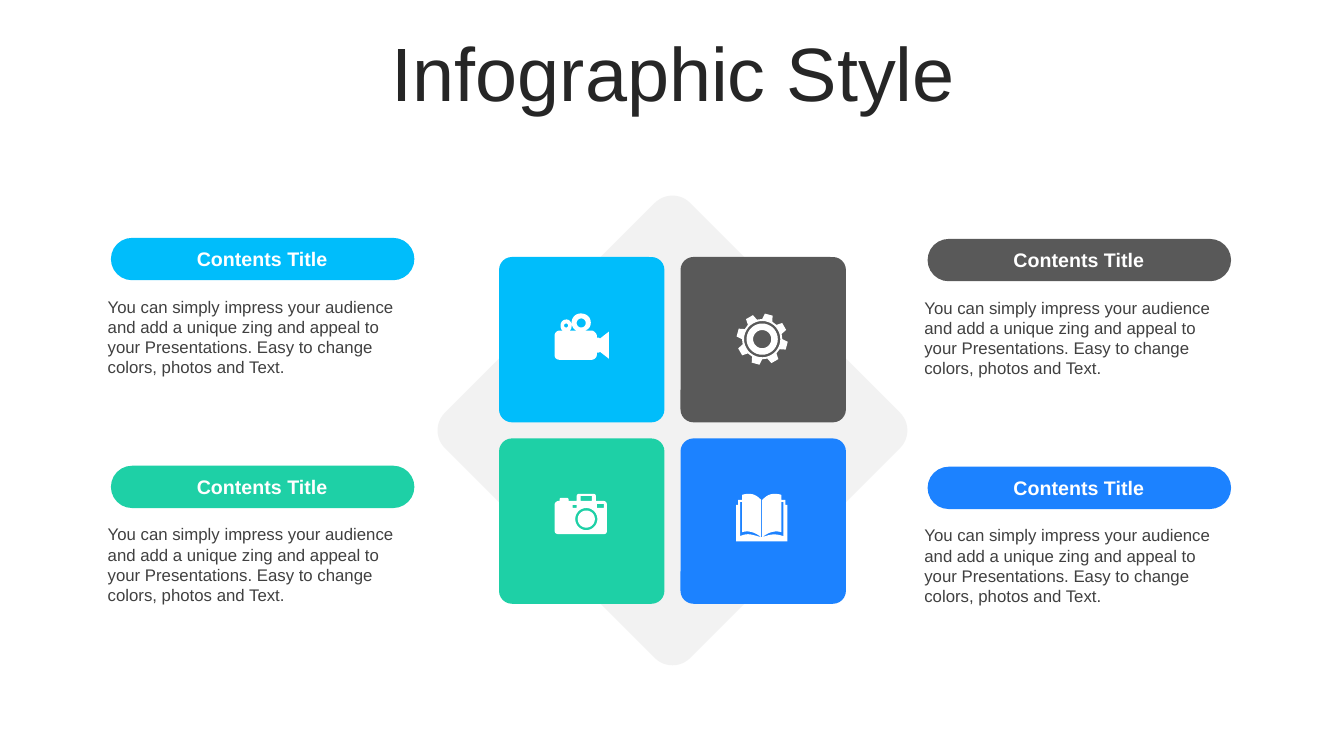
from math import cos, radians, sin

from pptx import Presentation
from pptx.dml.color import RGBColor
from pptx.enum import shapes, text
from pptx.util import Inches, Pt

COLORS = {
    "sky": "00BDFB", "gray": "595959", "mint": "1ED0A6", "blue": "1C82FF",
    "diamond": "F2F2F2", "white": "FFFFFF", "title": "262626", "body": "404040",
}
HEADING = "Contents Title"
DESCRIPTION = ("You can simply impress your audience and add a unique zing and appeal to "
               "your Presentations. Easy to change colors, photos and Text.")
TITLE_FONT = {"name": "Arial", "size": Pt(54), "bold": False}
HEADING_FONT = {"name": "Arial", "size": Pt(14), "bold": True}
BODY_FONT = {"name": "Arial", "size": Pt(12), "bold": False}

# Tiles and captions: colour, tile left and top, caption left and top
QUADRANTS = [
    ("gray", 6.75, 2.55, 9.2, 2.37),
    ("blue", 6.75, 4.35, 9.2, 4.63),
    ("sky", 4.95, 2.55, 1.1, 2.36),
    ("mint", 4.95, 4.35, 1.1, 4.62),
]

# Icon outlines: a pair is a line end, six numbers are a Bezier curve
PHOTO_BODY = [
    (5.74, 4.9), (5.89, 4.9), (5.9, 4.9, 5.91, 4.91, 5.91, 4.92), (5.91, 4.97),
    (5.98, 4.97), (6.01, 4.97, 6.02, 4.99, 6.02, 5.01), (6.02, 5.26),
    (6.02, 5.29, 6.01, 5.3, 5.98, 5.3), (5.54, 5.3),
    (5.52, 5.3, 5.5, 5.29, 5.5, 5.26), (5.5, 5.01),
    (5.5, 4.99, 5.52, 4.97, 5.54, 4.97), (5.55, 4.97), (5.55, 4.95),
    (5.56, 4.94), (5.63, 4.94), (5.64, 4.95), (5.64, 4.97), (5.72, 4.97),
    (5.72, 4.92), (5.72, 4.91, 5.73, 4.9, 5.74, 4.9),
]
FILM_BODY = [
    (5.76, 3.11), (5.82, 3.11, 5.86, 3.15, 5.86, 3.2),
    (5.86, 3.24, 5.84, 3.27, 5.8, 3.28), (5.87, 3.28),
    (5.89, 3.28, 5.92, 3.31, 5.92, 3.33), (5.92, 3.35), (5.94, 3.35),
    (5.95, 3.36), (6.04, 3.29), (6.04, 3.56), (5.95, 3.49), (5.94, 3.5),
    (5.92, 3.5), (5.92, 3.52), (5.92, 3.55, 5.89, 3.57, 5.87, 3.57),
    (5.55, 3.57), (5.52, 3.57, 5.5, 3.55, 5.5, 3.52), (5.5, 3.33),
    (5.5, 3.31, 5.52, 3.28, 5.55, 3.28), (5.59, 3.28),
    (5.57, 3.28, 5.56, 3.26, 5.56, 3.23), (5.56, 3.2, 5.58, 3.17, 5.62, 3.17),
    (5.65, 3.17, 5.67, 3.2, 5.67, 3.23), (5.67, 3.26, 5.66, 3.28, 5.64, 3.28),
    (5.72, 3.28), (5.69, 3.27, 5.67, 3.24, 5.67, 3.2),
    (5.67, 3.15, 5.71, 3.11, 5.76, 3.11),
]
BOOK = [
    (7.55, 5.33), (7.56, 5.33), (7.64, 5.3, 7.69, 5.29, 7.77, 5.32),
    (7.77, 4.98), (7.75, 4.98), (7.75, 5.28),
    (7.69, 5.26, 7.62, 5.28, 7.56, 5.33), (7.56, 4.96),
    (7.6, 4.92, 7.63, 4.9, 7.68, 4.9), (7.7, 4.9, 7.72, 4.9, 7.75, 4.91),
    (7.75, 4.96), (7.79, 4.96), (7.79, 5.01), (7.81, 5.01), (7.81, 5.37),
    (7.3, 5.37), (7.3, 5.01), (7.32, 5.01), (7.32, 4.96), (7.36, 4.96),
    (7.36, 4.91), (7.39, 4.9, 7.41, 4.9, 7.43, 4.9),
    (7.48, 4.9, 7.51, 4.92, 7.55, 4.96), (7.55, 5.33),
    (7.49, 5.28, 7.42, 5.26, 7.36, 5.28), (7.36, 4.98), (7.34, 4.98),
    (7.34, 5.32), (7.42, 5.28, 7.47, 5.31, 7.55, 5.33),
]


def rgb(color):
    return RGBColor.from_string(COLORS[color])


def paint(shape, color):
    shape.shadow.inherit = False
    shape.fill.solid()
    shape.fill.fore_color.rgb = rgb(color)
    shape.line.fill.background()


def rounded(slide, box, color, corner, rotation=0):
    shape = slide.shapes.add_shape(
        shapes.MSO_SHAPE.ROUNDED_RECTANGLE, *map(Inches, box))
    shape.adjustments[0] = corner
    shape.rotation = rotation
    paint(shape, color)


def write(frame, words, font, color, align):
    frame.word_wrap = True
    frame.text = words
    paragraph = frame.paragraphs[0]
    paragraph.alignment = align
    for key, value in font.items():
        setattr(paragraph.font, key, value)
    paragraph.font.color.rgb = rgb(color)
    return paragraph


def label(slide, box, words, font, color, align):
    frame = slide.shapes.add_textbox(*map(Inches, box)).text_frame
    write(frame, words, font, color, align)
    frame.auto_size = text.MSO_AUTO_SIZE.SHAPE_TO_FIT_TEXT


def caption(slide, color, left, top):
    rounded(slide, (left, top, 3.01, 0.42), color, 0.5)
    label(slide, (left - 0.13, top + 0.53, 3.26, 0.91), DESCRIPTION,
          BODY_FONT, "body", text.PP_ALIGN.LEFT)
    label(slide, (left + 0.09, top + 0.04, 2.82, 0.34), HEADING,
          HEADING_FONT, "white", text.PP_ALIGN.CENTER)


def polar(cx, cy, radius, degrees):
    return cx + radius * cos(radians(degrees)), cy - radius * sin(radians(degrees))


def circle(cx, cy, radius):
    return [polar(cx, cy, radius, angle) for angle in range(0, 360, 10)]


def rectangle(left, top, right, bottom):
    return [(left, top), (right, top), (right, bottom), (left, bottom)]


def gear_teeth(cx, cy):
    profile = [(-15, 0.2), (-9, 0.255), (9, 0.255), (15, 0.2)]
    return [polar(cx, cy, radius, 30 + 45 * tooth + offset)
            for tooth in range(8) for offset, radius in profile]


def flatten(outline, steps=8):
    points = []
    for item in outline:
        if len(item) == 2:
            points.append(item)
            continue
        controls = [points[-1], item[:2], item[2:4], item[4:]]
        for step in range(1, steps + 1):
            t = step / steps
            weights = ((1 - t) ** 3, 3 * t * (1 - t) ** 2, 3 * t * t * (1 - t), t ** 3)
            points.append(tuple(sum(w * point[axis] for w, point in zip(weights, controls))
                                for axis in (0, 1)))
    return points


def icon(slide, outlines):
    contours = [[(Inches(x), Inches(y)) for x, y in flatten(outline)]
                for outline in outlines]
    builder = slide.shapes.build_freeform(*contours[0][0])
    for index, contour in enumerate(contours):
        if index:
            builder.move_to(*contour[0])
        builder.add_line_segments(contour[1:], close=True)
    paint(builder.convert_to_shape(), "white")


def main():
    deck = Presentation()
    deck.slide_width, deck.slide_height = Inches(13.33), Inches(7.5)
    slide = deck.slides.add_slide(deck.slide_layouts.get_by_name("Title Only"))

    # Title
    title = slide.shapes.title
    title.left, title.top, title.width, title.height = map(Inches, (0.35, 0.37, 12.66, 0.79))
    heading = write(title.text_frame, "Infographic Style", TITLE_FONT, "title",
                    text.PP_ALIGN.CENTER)
    heading.line_spacing = 0.9
    title.text_frame.auto_size = text.MSO_AUTO_SIZE.NONE
    title.text_frame.vertical_anchor = text.MSO_ANCHOR.MIDDLE

    # Diamond, tiles and captions
    rounded(slide, (4.95, 2.55, 3.44, 3.44), "diamond", 0.072, 315)
    for color, left, top, _, _ in QUADRANTS:
        rounded(slide, (left, top, 1.64, 1.64), color, 0.078)
    for color, _, _, left, top in QUADRANTS:
        caption(slide, color, left, top)

    # Icons: gear, photo camera, film camera, book
    gear = (7.56, 3.365)
    icon(slide, [gear_teeth(*gear)] + [circle(*gear, r) for r in (0.18, 0.155, 0.09)])
    icon(slide, [PHOTO_BODY, circle(5.815, 5.15, 0.11), circle(5.815, 5.15, 0.085),
                 rectangle(5.68, 5.01, 5.72, 5.04), rectangle(5.92, 5, 5.99, 5.04),
                 rectangle(5.76, 4.92, 5.87, 4.97)])
    icon(slide, [FILM_BODY, circle(5.615, 3.23, 0.02), circle(5.765, 3.205, 0.045)])
    icon(slide, [BOOK])

    deck.save("out.pptx")


if __name__ == "__main__":
    main()
